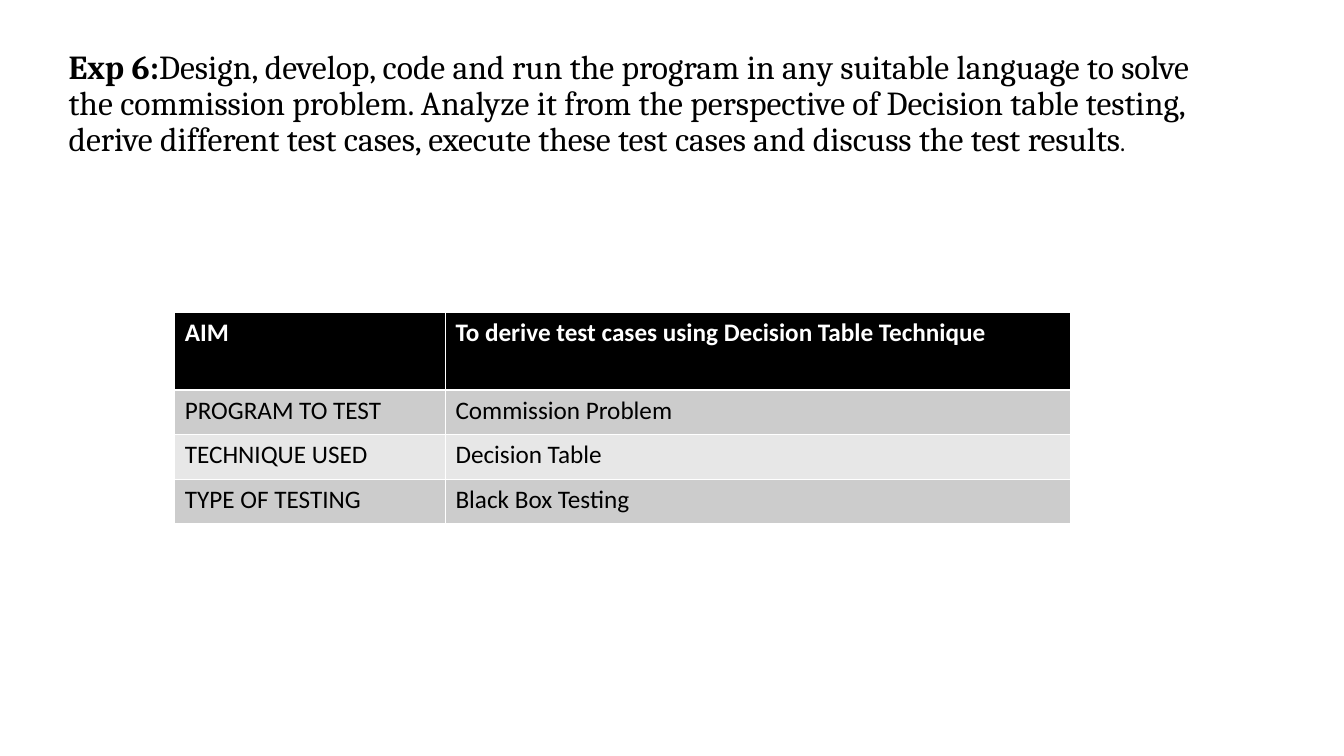
from dataclasses import dataclass

from pptx import Presentation
from pptx.dml.color import RGBColor as RGB
from pptx.enum.text import MSO_ANCHOR as Anchor, MSO_AUTO_SIZE as AutoSize, PP_ALIGN as Align
from pptx.util import Pt

HEADING = [
    ("Exp 6:", "lead"),
    ("Design, develop, code and run the program in any suitable language to solve "
     "the commission problem. Analyze it from the perspective of Decision table testing, "
     "derive different test cases, execute these test cases and discuss the test results", "body"),
    (".", "stop"),
]
ROWS = [
    ("AIM", "To derive test cases using Decision Table Technique"),
    ("PROGRAM TO TEST", "Commission Problem"),
    ("TECHNIQUE USED", "Decision Table"),
    ("TYPE OF TESTING", "Black Box Testing"),
]


@dataclass(frozen=True)
class Theme:
    black: RGB = RGB(0, 0, 0)
    white: RGB = RGB(255, 255, 255)
    bands: tuple = (RGB(0xCC, 0xCC, 0xCC), RGB(0xE7, 0xE7, 0xE7))
    heading_font: str = "Cambria"
    table_font: str = "Calibri"
    heading_size: int = 24
    table_size: int = 18


THEME = Theme()
HEADING_BOX = (41.76, 32.4, 828, 342.72)
TABLE_POS = (124.8, 223.2)
COL_WIDTHS = (193.4, 446.4)
HEADER_HEIGHT, ROW_HEIGHT = 55.4, 31.9


def set_attrs(target, values):
    for name, value in values.items():
        setattr(target, name, value)


def add_run(p, text, font, size, color, bold):
    r = p.add_run()
    r.text = text
    set_attrs(r.font, {"name": font, "size": Pt(size), "bold": bold})
    r.font.color.rgb = color


def add_heading(s):
    sp = s.shapes.title
    set_attrs(sp, dict(zip(("left", "top", "width", "height"), map(Pt, HEADING_BOX))))
    tf = sp.text_frame
    set_attrs(tf, {"word_wrap": True, "auto_size": AutoSize.NONE,
                   "vertical_anchor": Anchor.TOP,
                   "margin_left": Pt(7.2), "margin_right": Pt(7.2),
                   "margin_top": Pt(3.6), "margin_bottom": Pt(3.6)})
    p = tf.paragraphs[0]
    set_attrs(p, {"alignment": Align.LEFT, "line_spacing": 0.9, "space_before": Pt(0)})
    for text, role in HEADING:
        size = THEME.table_size if role == "stop" else THEME.heading_size
        add_run(p, text, THEME.heading_font, size, THEME.black, role == "lead")


def add_summary(s):
    heights = [HEADER_HEIGHT] + [ROW_HEIGHT] * (len(ROWS) - 1)
    box = (*TABLE_POS, sum(COL_WIDTHS), sum(heights))
    table = s.shapes.add_table(len(ROWS), len(COL_WIDTHS), *map(Pt, box)).table
    for column, width in zip(table.columns, COL_WIDTHS):
        column.width = Pt(width)
    for i, (texts, height) in enumerate(zip(ROWS, heights)):
        table.rows[i].height = Pt(height)
        header = i == 0
        fill = THEME.black if header else THEME.bands[(i - 1) % 2]
        color = THEME.white if header else THEME.black
        for j, text in enumerate(texts):
            cell = table.cell(i, j)
            cell.fill.solid()
            cell.fill.fore_color.rgb = fill
            add_run(cell.text_frame.paragraphs[0], text, THEME.table_font,
                    THEME.table_size, color, header)


def main():
    prs = Presentation()
    set_attrs(prs, {"slide_width": Pt(960), "slide_height": Pt(540)})
    s = prs.slides.add_slide(prs.slide_layouts[5])
    add_heading(s)
    add_summary(s)
    prs.save("out.pptx")


if __name__ == "__main__":
    main()
